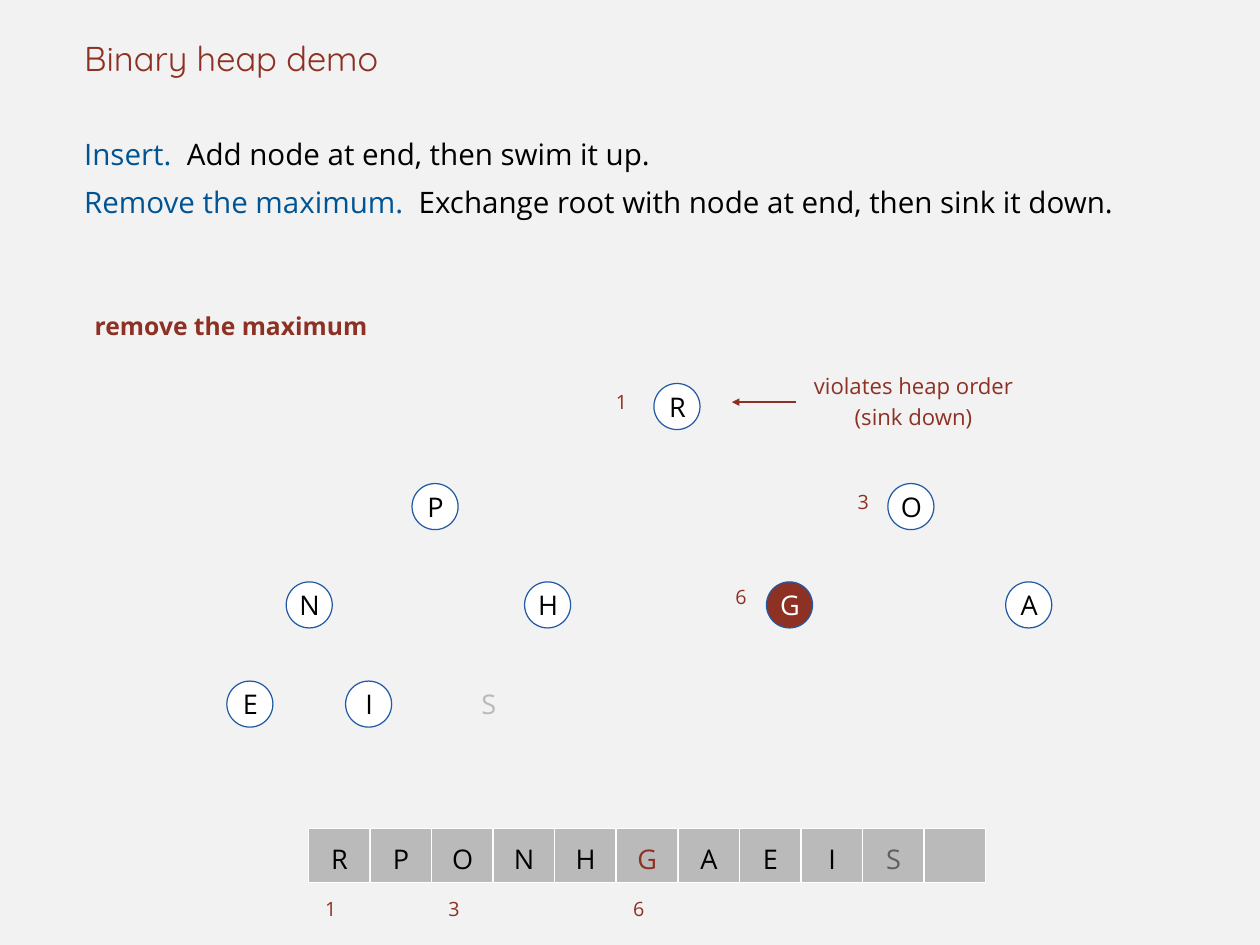
import pptx
import pptx.util
import pptx.dml.color
import pptx.enum.shapes
import pptx.enum.text
import pptx.oxml
import pptx.oxml.ns

Inches = pptx.util.Inches
Pt = pptx.util.Pt
Align = pptx.enum.text.PP_ALIGN
Anchor = pptx.enum.text.MSO_ANCHOR
Shape = pptx.enum.shapes.MSO_SHAPE

COLORS = {
    "background": "F2F2F2",
    "black": "000000",
    "white": "FFFFFF",
    "red": "8D3124",
    "blue": "005493",
    "outline": "2159A5",
    "gray": "BABABA",
    "dark gray": "606060",
}
TITLE = "Binary heap demo"
OPERATIONS = [
    [("Insert.  ", "blue"), ("Add node at end, then swim it up.", "black")],
    [("Remove the maximum.  ", "blue"),
     ("Exchange root with node at end, then sink it down.", "black")],
]
STEP = "remove the maximum"
WARNING = ["violates heap order", "(sink down)"]

LEVEL_TOPS = [4.33, 5.46, 6.57, 7.69]
HEAP_LEVELS = [
    [("R", 7.38)],
    [("P", 4.65), ("O", 10.02)],
    [("N", 3.23), ("H", 5.92), ("G", 8.65), ("A", 11.35)],
    [("E", 2.56), ("I", 3.9)],
]
NODE_SIZE = 0.52
SINKING_KEY = "G"
REMOVED_NODE = ("S", 5.25, 7.69)
NODE_INDICES = [("1", 6.89, 4.4), ("3", 9.62, 5.53), ("6", 8.24, 6.6)]

ARRAY_KEYS = ["R", "P", "O", "N", "H", "G", "A", "E", "I", "S", ""]
ARRAY_KEY_COLORS = {"G": "red", "S": "dark gray"}
ARRAY_INDICES = [1, 3, 6]
ARRAY_LEFT, ARRAY_TOP = 3.48, 9.35
CELL_WIDTH, CELL_HEIGHT = 0.69, 0.61
CELL_PITCH = 6.95 / 10


def rgb(name):
    return pptx.dml.color.RGBColor.from_string(COLORS[name])


def write_text(shape, lines, size, color="black", font="Open Sans", bold=False,
               align=Align.LEFT, anchor=Anchor.TOP, spacing=None, indent=0.06):
    frame = shape.text_frame
    frame.word_wrap = True
    frame.auto_size = pptx.enum.text.MSO_AUTO_SIZE.NONE
    frame.vertical_anchor = anchor
    frame.margin_left = Inches(indent)
    frame.margin_top = frame.margin_right = frame.margin_bottom = 0
    for number, line in enumerate(lines):
        paragraph = frame.add_paragraph() if number else frame.paragraphs[0]
        paragraph.alignment = align
        if spacing:
            paragraph.line_spacing = spacing
        runs = [(line, color)] if isinstance(line, str) else line
        for text, run_color in runs:
            run = paragraph.add_run()
            run.text = text
            run.font.size = Pt(size)
            run.font.name = font
            run.font.bold = bold
            run.font.color.rgb = rgb(run_color)


def add_label(slide, lines, left, top, width, height, **text_format):
    box = slide.shapes.add_textbox(Inches(left), Inches(top), Inches(width), Inches(height))
    write_text(box, lines, **text_format)


def add_key(shapes, kind, key, left, top, width, height, fill, line, line_width, **text_format):
    shape = shapes.add_shape(kind, Inches(left), Inches(top), Inches(width), Inches(height))
    shape.shadow.inherit = False
    shape.fill.solid()
    shape.fill.fore_color.rgb = rgb(fill)
    shape.line.color.rgb = rgb(line)
    shape.line.width = Pt(line_width)
    if key:
        write_text(shape, [key], size=22, align=Align.CENTER, anchor=Anchor.MIDDLE,
                   indent=0.01, **text_format)


def add_arrow(slide, left, right, y):
    arrow = slide.shapes.add_connector(
        pptx.enum.shapes.MSO_CONNECTOR.STRAIGHT,
        Inches(left), Inches(y), Inches(right), Inches(y))
    arrow.line.color.rgb = rgb("red")
    arrow.line.width = Pt(2)
    head = pptx.oxml.parse_xml(f'<a:headEnd {pptx.oxml.ns.nsdecls("a")} type="triangle"/>')
    arrow.line._get_or_add_ln().append(head)
    effects = pptx.oxml.parse_xml(f'<a:effectLst {pptx.oxml.ns.nsdecls("a")}/>')
    arrow._element.spPr.append(effects)


def add_heading(slide):
    title = slide.shapes.title
    title.left, title.top = Inches(0.89), Inches(0)
    title.width, title.height = Inches(12.44), Inches(0.89)
    write_text(title, [TITLE], size=28, color="red", font="Quicksand", anchor=Anchor.BOTTOM)
    add_label(slide, OPERATIONS, 0.89, 1.39, 12.44, 1.2, size=24, spacing=Pt(39))
    add_label(slide, [STEP], 1.01, 3.51, 3.3, 0.43, size=20, color="red", bold=True)


def add_tree(slide):
    for top, level in zip(LEVEL_TOPS, HEAP_LEVELS):
        for key, left in level:
            sinking = key == SINKING_KEY
            add_key(slide.shapes, Shape.OVAL, key, left, top, NODE_SIZE, NODE_SIZE,
                    "red" if sinking else "white", "outline", 1,
                    color="white" if sinking else "black")
    key, left, top = REMOVED_NODE
    add_label(slide, [key], left, top, NODE_SIZE, NODE_SIZE, size=22, color="gray",
              align=Align.CENTER, anchor=Anchor.MIDDLE, indent=0.01)
    for index, left, top in NODE_INDICES:
        add_label(slide, [index], left, top, 0.33, 0.36, size=16, color="red")
    add_label(slide, WARNING, 8.98, 4.14, 2.6, 0.75, size=18, color="red",
              align=Align.CENTER, spacing=1.2)
    add_arrow(slide, 8.26, 8.98, 4.54)


def add_array(slide):
    cells = slide.shapes.add_group_shape()
    for position, key in enumerate(ARRAY_KEYS):
        add_key(cells.shapes, Shape.RECTANGLE, key, ARRAY_LEFT + position * CELL_PITCH,
                ARRAY_TOP, CELL_WIDTH, CELL_HEIGHT, "gray", "white", 0.5,
                color=ARRAY_KEY_COLORS.get(key, "black"), spacing=1.2)
    for index in ARRAY_INDICES:
        left = ARRAY_LEFT + 0.13 + (index - 1) * CELL_PITCH
        add_label(slide, [str(index)], left, 9.99, 0.33, 0.36, size=16, color="red", spacing=1.5)


def main():
    presentation = pptx.Presentation()
    presentation.slide_width = Inches(14.22)
    presentation.slide_height = Inches(10.67)
    slide = presentation.slides.add_slide(presentation.slide_layouts[5])
    slide.background.fill.solid()
    slide.background.fill.fore_color.rgb = rgb("background")
    add_heading(slide)
    add_array(slide)
    add_tree(slide)
    presentation.save("out.pptx")


if __name__ == "__main__":
    main()
